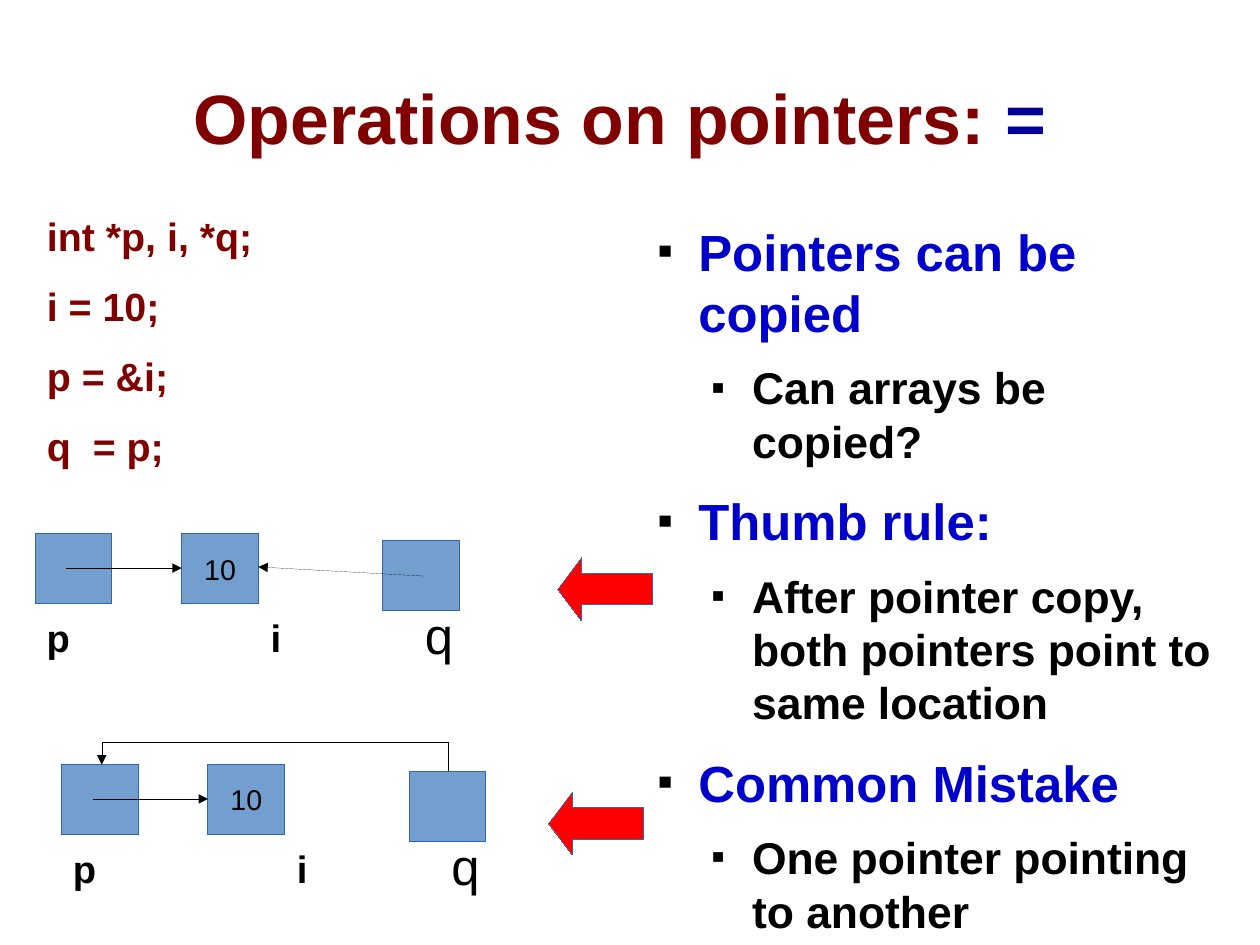
from dataclasses import dataclass

from lxml import etree
from pptx import Presentation
from pptx import util as u
from pptx.dml.color import RGBColor
from pptx.enum import shapes, text
from pptx.oxml.ns import qn


@dataclass(frozen=True)
class Theme:
    font: str = "Arial"
    maroon: str = "800000"
    navy: str = "000099"
    blue: str = "0000CC"
    black: str = "000000"
    box: str = "729FCF"
    outline: str = "3465A4"
    red: str = "FF0000"
    title_size: float = 44
    code_size: float = 24.8
    topic_size: float = 32
    detail_size: float = 28
    name_size: float = 24
    value_size: float = 18


def add_xml(parent, tag, **attributes):
    return etree.SubElement(parent, qn(tag), attributes)


class PointerSlide:
    """Holds the theme and the slide being drawn."""

    def __init__(self, slide, theme):
        self.slide, self.theme = slide, theme

    def run(self, paragraph, words, size, color, bold=True):
        run = paragraph.add_run()
        run.text = words
        run.font.name = self.theme.font
        run.font.size = u.Pt(size)
        run.font.bold = bold
        run.font.color.rgb = RGBColor.from_string(color)

    def placeholder(self, index, left, top, width, height):
        """Move a placeholder, clear its insets and return its text frame."""
        holder = self.slide.placeholders[index]
        holder.left, holder.top = u.Inches(left), u.Inches(top)
        holder.width, holder.height = u.Inches(width), u.Inches(height)
        frame = holder.text_frame
        frame.margin_left = frame.margin_right = 0
        frame.margin_top = frame.margin_bottom = 0
        frame.auto_size = text.MSO_AUTO_SIZE.NONE
        frame.word_wrap = True
        return frame

    def title(self, pieces, *place):
        frame = self.placeholder(0, *place)
        frame.vertical_anchor = text.MSO_ANCHOR.MIDDLE
        heading = frame.paragraphs[0]
        heading.alignment = text.PP_ALIGN.CENTER
        for words, color in pieces:
            self.run(heading, words, self.theme.title_size, color)

    def next_paragraph(self, frame, first, space):
        paragraph = frame.paragraphs[0] if first else frame.add_paragraph()
        paragraph.space_before, paragraph.space_after = u.Pt(space), u.Pt(0)
        return paragraph

    def code(self, statements, *place):
        frame = self.placeholder(1, *place)
        for number, statement in enumerate(statements):
            line = self.next_paragraph(frame, number == 0, 14.2)
            props = line._p.get_or_add_pPr()
            props.set("marL", "0")
            props.set("indent", "0")
            add_xml(props, "a:buNone")
            self.run(line, statement, self.theme.code_size, self.theme.maroon)

    def outline(self, points, *place):
        """Bulleted list of (level, words)."""
        theme = self.theme
        styles = [(theme.topic_size, theme.blue, 14.2), (theme.detail_size, theme.black, 11.3)]
        frame = self.placeholder(2, *place)
        for number, (level, words) in enumerate(points):
            size, color, space = styles[level]
            point = self.next_paragraph(frame, number == 0, space)
            point.level = level
            props = point._p.get_or_add_pPr()
            props.set("marL", str(u.Inches(0.47 * (level + 1))))
            props.set("indent", str(u.Inches(-0.35)))
            add_xml(add_xml(props, "a:buClr"), "a:srgbClr", val=theme.black)
            add_xml(props, "a:buSzPct", val="45000")
            add_xml(props, "a:buFont", typeface=theme.font)
            add_xml(props, "a:buChar", char="■")
            self.run(point, words, size, color)

    def hairline(self, line, color):
        """Colour a line and make it as thin as can be drawn."""
        line.color.rgb = RGBColor.from_string(color)
        outline = line._get_or_add_ln()
        outline.set("w", "0")
        return outline

    def shape(self, kind, fill, left, top, width, height):
        shape = self.slide.shapes.add_shape(
            kind, u.Inches(left), u.Inches(top), u.Inches(width), u.Inches(height))
        shape.shadow.inherit = False
        shape.fill.solid()
        shape.fill.fore_color.rgb = RGBColor.from_string(fill)
        self.hairline(shape.line, self.theme.outline)
        return shape

    def cell(self, left, top, value=None):
        """Memory cell, with its value if it holds one."""
        cell = self.shape(shapes.MSO_SHAPE.RECTANGLE, self.theme.box, left, top, 0.67, 0.61)
        if value:
            cell.text_frame.vertical_anchor = text.MSO_ANCHOR.MIDDLE
            content = cell.text_frame.paragraphs[0]
            content.alignment = text.PP_ALIGN.CENTER
            self.run(content, value, self.theme.value_size, self.theme.black, False)

    def label(self, name, left, top, size, bold):
        label = self.slide.shapes.add_textbox(
            u.Inches(left), u.Inches(top), u.Inches(0.5), u.Inches(0.6))
        label.text_frame.word_wrap = True
        self.run(label.text_frame.paragraphs[0], name, size, self.theme.black, bold)

    def arrow(self, start, end, kind=shapes.MSO_CONNECTOR.STRAIGHT):
        arrow = self.slide.shapes.add_connector(kind, *map(u.Inches, start + end))
        add_xml(self.hairline(arrow.line, self.theme.black), "a:tailEnd", type="triangle")
        add_xml(arrow._element.spPr, "a:effectLst")
        return arrow

    def arrow_over(self, start, end, rise):
        """Elbow arrow that leaves upwards, runs left and comes down on its end."""
        (x1, y1), (x2, y2) = start, end
        middle_x, middle_y = (x1 + x2) / 2, (y1 + y2) / 2
        half_drop, half_run = (y1 - y2) / 2, (x1 - x2) / 2
        arrow = self.arrow((middle_x - half_drop, middle_y + half_run),
                           (middle_x + half_drop, middle_y - half_run),
                           shapes.MSO_CONNECTOR.ELBOW)
        props = arrow._element.spPr
        props.find(qn("a:xfrm")).set("rot", str(270 * 60000))
        bend = round(rise / (y1 - y2) * 100000)
        guides = props.find(qn("a:prstGeom")).find(qn("a:avLst"))
        add_xml(guides, "a:gd", name="adj1", fmla=f"val {bend}")

    def memory(self, left, top):
        """Cells p, i and q with their names, and the arrow from p to i."""
        theme = self.theme
        self.cell(left, top)
        self.cell(left + 1.28, top, "10")
        self.cell(left + 3.04, top + 0.06)
        self.label("p", left, top + 0.66, theme.name_size, True)
        self.label("i", left + 1.96, top + 0.66, theme.name_size, True)
        self.label("q", left + 3.31, top + 0.56, theme.topic_size, False)
        self.arrow((left + 0.27, top + 0.3), (left + 1.28, top + 0.3))

    def marker(self, left, top):
        marker = self.shape(shapes.MSO_SHAPE.LEFT_ARROW, self.theme.red, left, top, 0.83, 0.55)
        marker.adjustments[0] = 0.5
        marker.adjustments[1] = 0.377


def main():
    deck = Presentation()
    deck.slide_width, deck.slide_height = u.Cm(28), u.Cm(21)
    theme = Theme()
    page = PointerSlide(deck.slides.add_slide(deck.slide_layouts[3]), theme)

    page.title([("Operations on pointers: ", theme.maroon), ("= ", theme.navy)],
               0.55, 0.33, 9.92, 1.38)
    page.code(["int *p, i, *q;", "i = 10;", "p = &i;", "q  = p;"], 0.41, 1.86, 1.87, 2.04)
    page.outline([
        (0, "Pointers can be copied"),
        (1, "Can arrays be copied?"),
        (0, "Thumb rule:"),
        (1, "After pointer copy, both pointers point to same location"),
        (0, "Common Mistake"),
        (1, "One pointer pointing to another"),
    ], 5.64, 1.93, 4.99, 6.1)

    page.memory(0.31, 4.67)
    page.arrow((3.7, 5.04), (2.26, 4.96))
    page.memory(0.54, 6.69)
    page.arrow_over((3.92, 6.75), (0.89, 6.69), 0.26)

    page.marker(4.88, 4.88)
    page.marker(4.8, 6.93)
    deck.save("out.pptx")


if __name__ == "__main__":
    main()
